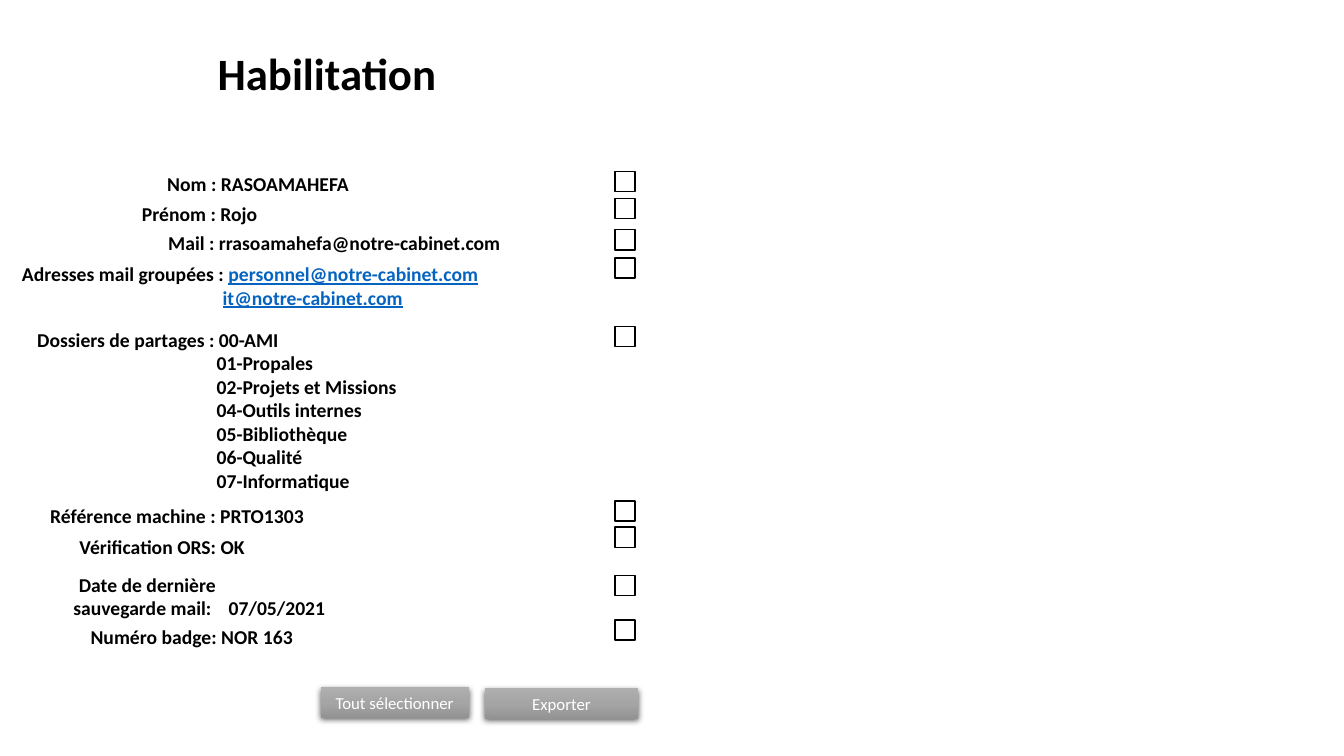
from copy import deepcopy

from lxml import etree
from pptx import Presentation
from pptx.dml.color import RGBColor
from pptx.enum.shapes import MSO_SHAPE
from pptx.enum.text import MSO_ANCHOR, MSO_AUTO_SIZE, PP_ALIGN
from pptx.oxml import parse_xml
from pptx.oxml.ns import nsdecls, qn
from pptx.util import Pt

PX = 9144  # 100 px to the inch

BLACK = RGBColor(0x00, 0x00, 0x00)
WHITE = RGBColor(0xFF, 0xFF, 0xFF)
LINK_BLUE = RGBColor(0x05, 0x63, 0xC1)
BUTTON_GREYS = [
    RGBColor(0xAF, 0xAF, 0xAF),
    RGBColor(0xA5, 0xA5, 0xA5),
    RGBColor(0x93, 0x93, 0x93),
]

TITLE = {"size": Pt(32), "bold": True}
FIELD = {"size": Pt(14), "bold": True}
LINK = {**FIELD, "underline": True}
BUTTON = {"size": Pt(12)}

# left, top, width, height, text
SINGLE_FIELDS = [
    (156, 166, 274, 34, "Nom : RASOAMAHEFA"),
    (131, 195, 274, 34, "Prénom : Rojo"),
    (157, 224, 371, 34, "Mail : rrasoamahefa@notre-cabinet.com"),
    (40, 495, 274, 34, "Référence machine : PRTO1303"),
    (69, 526, 274, 34, "Vérification ORS: OK"),
    (217, 586, 149, 34, "07/05/2021"),
    (80, 615, 274, 34, "Numéro badge: NOR 163"),
]
SHARED_FOLDERS = [
    "01-Propales",
    "02-Projets et Missions",
    "04-Outils internes",
    "05-Bibliothèque",
    "06-Qualité",
    "07-Informatique",
]
CHECKBOX_TOPS = [170, 197, 228, 256, 324, 497, 523, 571, 615]
BUTTONS = [
    (318, 682, 147, 30, "Tout sélectionner"),
    (481, 683, 152, 30, "Exporter"),
]


class FormSlide:
    def __init__(self, slide, font_name):
        self.shapes = slide.shapes
        self.font_name = font_name

    def add_run(self, paragraph, text, style, color):
        run = paragraph.add_run()
        run.text = text
        values = {"name": self.font_name, **style}
        for attribute, value in values.items():
            setattr(run.font, attribute, value)
        run.font.color.rgb = color

    def text(self, box, lines, hanging=0, align=PP_ALIGN.LEFT):
        """Each line is a list of (text, style, color); later lines start at hanging px."""
        frame = self.shapes.add_textbox(*(n * PX for n in box)).text_frame
        frame.word_wrap = True
        frame.auto_size = MSO_AUTO_SIZE.SHAPE_TO_FIT_TEXT
        for index, runs in enumerate(lines):
            paragraph = frame.add_paragraph() if index else frame.paragraphs[0]
            paragraph.alignment = align
            if index and hanging:
                paragraph._p.get_or_add_pPr().set("marL", str(hanging * PX))
            for text, style, color in runs:
                self.add_run(paragraph, text, style, color)

    def rectangle(self, box):
        shape = self.shapes.add_shape(MSO_SHAPE.RECTANGLE, *(n * PX for n in box))
        shape.shadow.inherit = False
        return shape

    def checkbox(self, left, top, side=20):
        square = self.rectangle((left, top, side, side))
        square.fill.background()
        square.line.color.rgb = BLACK
        square.line.width = Pt(1)

    def button(self, box, label):
        button = self.rectangle(box)
        button.line.fill.background()
        self.fill_gradient(button)
        self.drop_shadow(button)
        frame = button.text_frame
        frame.word_wrap = True
        frame.vertical_anchor = MSO_ANCHOR.MIDDLE
        frame.paragraphs[0].alignment = PP_ALIGN.CENTER
        self.add_run(frame.paragraphs[0], label, BUTTON, WHITE)

    def fill_gradient(self, shape):
        fill = shape.fill
        fill.gradient()
        fill.gradient_angle = 270
        stop_list = shape._element.spPr.find(".//" + qn("a:gsLst"))
        stop_list.insert(1, deepcopy(stop_list[0]))
        for index, (stop, grey) in enumerate(zip(fill.gradient_stops, BUTTON_GREYS)):
            stop.position = index / 2
            stop.color.rgb = grey

    def drop_shadow(self, shape):
        effects = shape._element.spPr.find(qn("a:effectLst"))
        shadow = parse_xml(
            f'<a:outerShdw {nsdecls("a")} blurRad="{Pt(4.5)}" dist="{Pt(1.5)}" '
            'dir="5400000" algn="ctr" rotWithShape="0"/>'
        )
        color = etree.SubElement(shadow, qn("a:srgbClr"), val=str(BLACK))
        etree.SubElement(color, qn("a:alpha"), val="63000")
        effects.append(shadow)


def main():
    presentation = Presentation()
    presentation.slide_width = 1333 * PX
    presentation.slide_height = 750 * PX
    form = FormSlide(
        presentation.slides.add_slide(presentation.slide_layouts[6]), "Calibri"
    )

    form.text((206, 40, 535, 64), [[("Habilitation", TITLE, BLACK)]])
    for *box, field in SINGLE_FIELDS:
        form.text(box, [[(field, FIELD, BLACK)]])

    group_addresses = [
        [
            ("Adresses mail groupées : ", FIELD, BLACK),
            ("personnel@notre-cabinet.com", LINK, LINK_BLUE),
        ],
        [("it@notre-cabinet.com", LINK, LINK_BLUE)],
    ]
    form.text((12, 255, 523, 57), group_addresses, hanging=199)

    folder_lines = ["Dossiers de partages : 00-AMI", *SHARED_FOLDERS]
    form.text(
        (27, 320, 381, 175),
        [[(line, FIELD, BLACK)] for line in folder_lines],
        hanging=178,
    )
    form.text(
        (0, 563, 224, 57),
        [[("Date de dernière sauvegarde mail: ", FIELD, BLACK)]],
        align=PP_ALIGN.RIGHT,
    )

    for top in CHECKBOX_TOPS:
        form.checkbox(610, top)
    for *box, label in BUTTONS:
        form.button(box, label)

    presentation.save("out.pptx")


if __name__ == "__main__":
    main()
